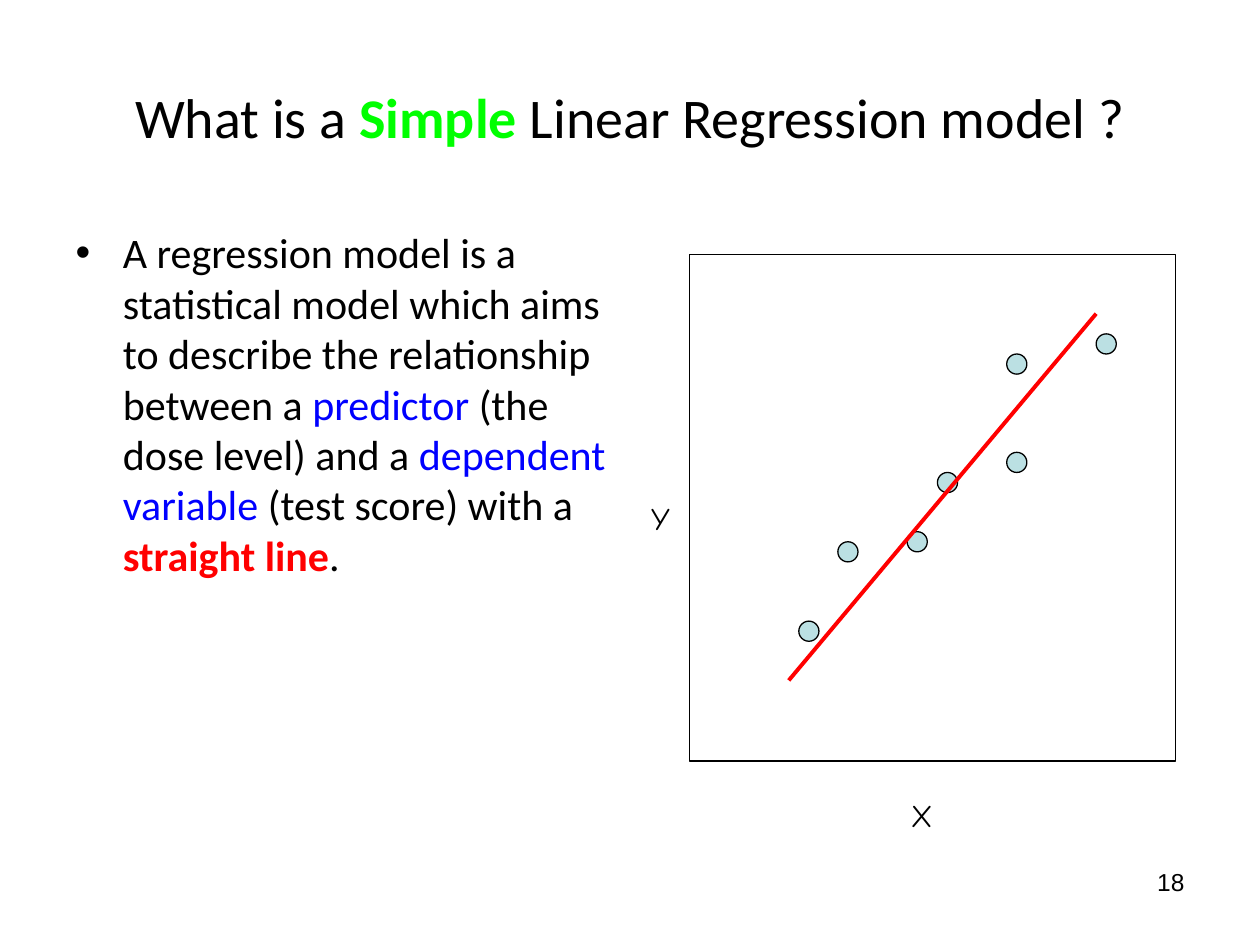
from dataclasses import dataclass

import pptx
import pptx.dml.color
import pptx.enum.shapes
import pptx.enum.text
import pptx.oxml.ns
import pptx.util
from lxml import etree

Inches = pptx.util.Inches
Pt = pptx.util.Pt
Align = pptx.enum.text.PP_ALIGN
Anchor = pptx.enum.text.MSO_ANCHOR
Preset = pptx.enum.shapes.MSO_SHAPE

BLACK, RED, BLUE, GREEN, PALE_BLUE = "000000", "FF0000", "0000FF", "00FF00", "BBE0E3"
DOT_SIZE = 0.16


@dataclass
class Span:
    text: str
    color: str = BLACK
    bold: bool = False


@dataclass
class Observation:
    left: float
    top: float


def rgb(color: str) -> pptx.dml.color.RGBColor:
    return pptx.dml.color.RGBColor.from_string(color)


def place(shape, left: float, top: float, width: float, height: float) -> None:
    shape.left, shape.top = Inches(left), Inches(top)
    shape.width, shape.height = Inches(width), Inches(height)


def write(shape, spans: list[Span], *, size: float, font: str = "Calibri",
          align=Align.LEFT, anchor=Anchor.TOP) -> None:
    frame = shape.text_frame
    frame.word_wrap = True
    frame.auto_size = pptx.enum.text.MSO_AUTO_SIZE.NONE
    frame.vertical_anchor = anchor
    paragraph = frame.paragraphs[0]
    paragraph.alignment = align
    paragraph.space_before = Pt(0)
    for span in spans:
        run = paragraph.add_run()
        run.text = span.text
        run.font.name = font
        run.font.size = Pt(size)
        run.font.bold = span.bold
        run.font.color.rgb = rgb(span.color)


def add_label(slide, text: str, box: tuple[float, float, float, float], **style) -> None:
    label = slide.shapes.add_textbox(*map(Inches, box))
    write(label, [Span(text)], **style)


def add_outlined(slide, preset, box: tuple[float, float, float, float],
                 fill: str | None = None) -> None:
    shape = slide.shapes.add_shape(preset, *map(Inches, box))
    shape.shadow.inherit = False
    if fill:
        shape.fill.solid()
        shape.fill.fore_color.rgb = rgb(fill)
    else:
        shape.fill.background()
    shape.line.color.rgb = rgb(BLACK)
    shape.line.width = Pt(0.75)


def add_line(slide, start: tuple[float, float], end: tuple[float, float],
             color: str, width: float) -> None:
    line = slide.shapes.add_connector(
        pptx.enum.shapes.MSO_CONNECTOR.STRAIGHT, *map(Inches, start + end))
    line.line.color.rgb = rgb(color)
    line.line.width = Pt(width)
    etree.SubElement(line._element.spPr, pptx.oxml.ns.qn("a:effectLst"))


def main() -> None:
    deck = pptx.Presentation()
    deck.slide_width, deck.slide_height = Inches(10), Inches(7.5)
    slide = deck.slides.add_slide(deck.slide_layouts[1])

    # Title and definition
    title, definition = slide.placeholders
    place(title, 0.5, 0.3, 9, 1.25)
    write(title, [Span("What is a "), Span("Simple", GREEN, True),
                  Span(" Linear Regression model ?")],
          size=32, align=Align.CENTER, anchor=Anchor.MIDDLE)
    place(definition, 0.5, 1.75, 4.42, 4.95)
    write(definition, [
        Span("A regression model is a statistical model which aims to describe "
             "the relationship between a"),
        Span(" predictor ", BLUE),
        Span("(the dose level) and a "),
        Span("dependent variable ", BLUE),
        Span("(test score) with a "),
        Span("straight line", RED, True),
        Span("."),
    ], size=24)

    # Scatter sketch: frame, observations, axis names, fitted line
    add_outlined(slide, Preset.RECTANGLE, (5.47, 2.02, 3.86, 4.02))
    observations = [
        Observation(6.34, 4.93), Observation(6.65, 4.3), Observation(7.2, 4.22),
        Observation(7.44, 3.75), Observation(7.99, 3.59), Observation(7.99, 2.81),
        Observation(8.7, 2.65),
    ]
    for dot in observations:
        add_outlined(slide, Preset.OVAL, (dot.left, dot.top, DOT_SIZE, DOT_SIZE), PALE_BLUE)
    for axis, left, top in (("X", 7.13, 6.27), ("Y", 5.07, 3.91)):
        add_label(slide, axis, (left, top, 0.55, 0.4), size=18, font="Comic Neue")
    add_line(slide, (6.26, 5.4), (8.7, 2.49), RED, 2.25)

    # Page number
    add_label(slide, "18", (7.17, 6.83, 2.33, 0.52), size=14, font="Arial", align=Align.RIGHT)

    deck.save("out.pptx")


if __name__ == "__main__":
    main()
